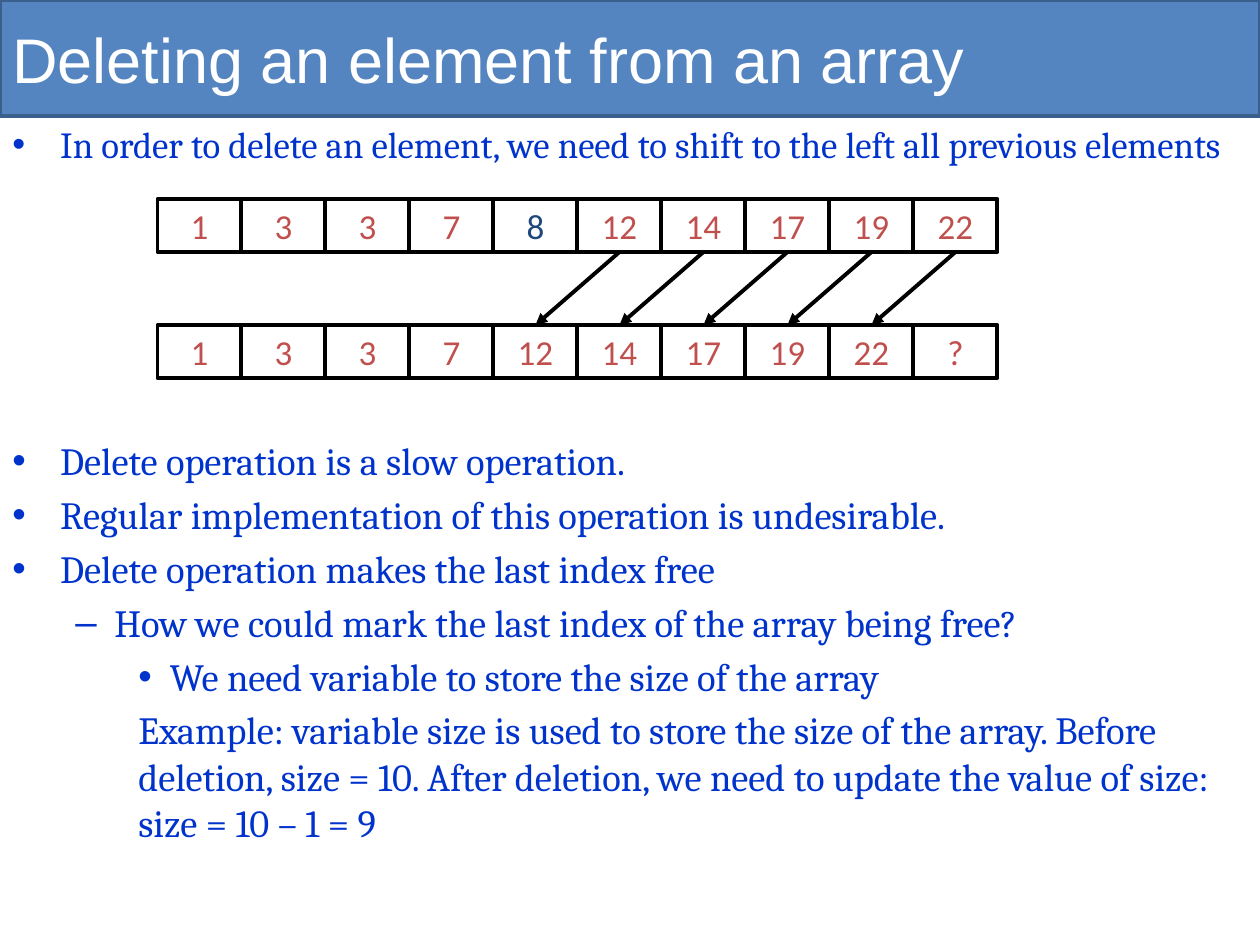
import pptx
import pptx.dml.color
import pptx.enum.shapes
import pptx.enum.text
import pptx.oxml
import pptx.oxml.ns
import pptx.util

Inches = pptx.util.Inches
Pt = pptx.util.Pt
RGBColor = pptx.dml.color.RGBColor
MIDDLE = pptx.enum.text.MSO_ANCHOR.MIDDLE
RECTANGLE = pptx.enum.shapes.MSO_SHAPE.RECTANGLE

BANNER_BLUE = RGBColor(0x54, 0x85, 0xC0)
BANNER_EDGE = RGBColor(0x3A, 0x5F, 0x8C)
TEXT_BLUE = RGBColor(0x00, 0x33, 0xCC)
VALUE_RED = RGBColor(0xC0, 0x50, 0x4D)
DELETED_BLUE = RGBColor(0x1F, 0x49, 0x7D)
BLACK = RGBColor(0, 0, 0)
WHITE = RGBColor(0xFF, 0xFF, 0xFF)

TITLE = "Deleting an element from an array"
# Each point: (level, bullet, left margin, first-line indent, text)
INTRO = [
    (0, "•", 0.38, -0.38, "In order to delete an element, we need to shift to the left all previous elements"),
]
POINTS = [
    (0, "•", 0.38, -0.38, "Delete operation is a slow operation."),
    (0, "•", 0.38, -0.38, "Regular implementation of this operation is undesirable."),
    (0, "•", 0.38, -0.38, "Delete operation makes the last index free"),
    (1, "–", 0.81, -0.31, "How we could mark the last index of the array being free?"),
    (2, "•", 1.25, -0.25, "We need variable to store the size of the array"),
    (2, None, 1, 0, "Example: variable size is used to store the size of the array. Before deletion, "
                    "size = 10. After deletion, we need to update the value of size: size = 10 – 1 = 9"),
]
BEFORE = ["1", "3", "3", "7", "8", "12", "14", "17", "19", "22"]
DELETED = 4
AFTER = BEFORE[:DELETED] + BEFORE[DELETED + 1:] + ["?"]

BANNER_H = 0.92
ARRAY_LEFT, BEFORE_TOP, AFTER_TOP = 1.25, 1.58, 2.58
CELL_W, CELL_H = 2 / 3, 0.42


def style(font, name, size, color):
    font.name, font.size, font.color.rgb = name, Pt(size), color


def add_points(slide, points, top, height, size):
    box = slide.shapes.add_textbox(0, Inches(top), Inches(10), Inches(height))
    frame = box.text_frame
    frame.word_wrap = True
    frame.text = "\n".join(point[-1] for point in points)
    for number, (paragraph, point) in enumerate(zip(frame.paragraphs, points)):
        level, bullet, margin, indent, _ = point
        paragraph.level = level
        if number:
            paragraph.space_before = Pt(0.2 * size)
        properties = paragraph._p.get_or_add_pPr()
        properties.set("marL", str(Inches(margin)))
        properties.set("indent", str(Inches(indent)))
        if bullet:
            font = pptx.oxml.parse_xml(f'<a:buFont {pptx.oxml.ns.nsdecls("a")} typeface="Arial"/>')
            properties.append(font)
            mark = pptx.oxml.parse_xml(f'<a:buChar {pptx.oxml.ns.nsdecls("a")} char="{bullet}"/>')
        else:
            mark = pptx.oxml.parse_xml(f'<a:buNone {pptx.oxml.ns.nsdecls("a")}/>')
        properties.append(mark)
        style(paragraph.runs[0].font, "Cambria", size, TEXT_BLUE)


def add_array(slide, values, top, deleted=None):
    for index, value in enumerate(values):
        cell = slide.shapes.add_shape(RECTANGLE, Inches(ARRAY_LEFT + index * CELL_W), Inches(top),
                                      Inches(CELL_W), Inches(CELL_H))
        cell.shadow.inherit = False
        cell.fill.background()
        cell.line.color.rgb = BLACK
        cell.line.width = Pt(2.25)
        frame = cell.text_frame
        frame.word_wrap = False
        frame.vertical_anchor = MIDDLE
        frame.text = value
        frame.paragraphs[0].alignment = pptx.enum.text.PP_ALIGN.CENTER
        color = DELETED_BLUE if index == deleted else VALUE_RED
        style(frame.paragraphs[0].runs[0].font, "Calibri", 20, color)


def add_shift_arrow(slide, index):
    """Point from a cell of the upper array to its new place one index lower."""
    start = ARRAY_LEFT + (index + 0.5) * CELL_W
    arrow = slide.shapes.add_connector(
        pptx.enum.shapes.MSO_CONNECTOR.STRAIGHT,
        Inches(start), Inches(BEFORE_TOP + CELL_H), Inches(start - CELL_W), Inches(AFTER_TOP))
    arrow.line.color.rgb = BLACK
    arrow.line.width = Pt(2.25)
    namespace = pptx.oxml.ns.nsdecls("a")
    arrow.line._get_or_add_ln().append(pptx.oxml.parse_xml(f'<a:tailEnd {namespace} type="triangle"/>'))
    arrow._element.spPr.append(pptx.oxml.parse_xml(f"<a:effectLst {namespace}/>"))


def add_banner(slide):
    banner = slide.shapes.add_shape(RECTANGLE, 0, 0, Inches(10), Inches(BANNER_H))
    banner.shadow.inherit = False
    banner.fill.solid()
    banner.fill.fore_color.rgb = BANNER_BLUE
    banner.line.color.rgb = BANNER_EDGE
    banner.line.width = Pt(2)
    title = slide.shapes.add_textbox(0, 0, Inches(10), Inches(BANNER_H))
    frame = title.text_frame
    frame.word_wrap = True
    frame.vertical_anchor = MIDDLE
    frame.text = TITLE
    style(frame.paragraphs[0].runs[0].font, "Arial", 36, WHITE)


def main():
    deck = pptx.Presentation()
    deck.slide_width, deck.slide_height = Inches(10), Inches(7.5)
    slide = deck.slides.add_slide(deck.slide_layouts[6])
    add_banner(slide)
    add_points(slide, INTRO, BANNER_H, 0.92, 21)
    add_points(slide, POINTS, 3.42, 3.75, 22)
    add_array(slide, BEFORE, BEFORE_TOP, DELETED)
    add_array(slide, AFTER, AFTER_TOP)
    for index in range(DELETED + 1, len(BEFORE)):
        add_shift_arrow(slide, index)
    deck.save("out.pptx")


if __name__ == "__main__":
    main()
